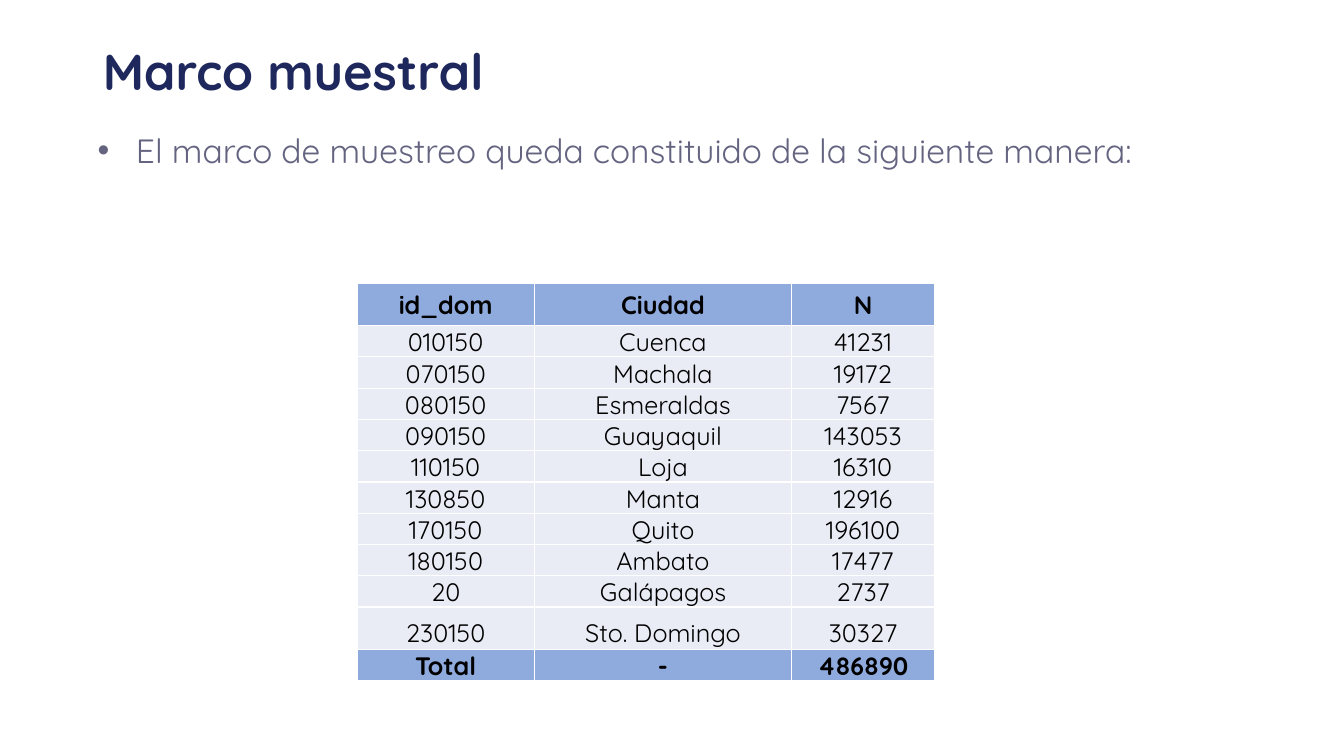
from lxml import etree
from pptx import Presentation
from pptx.dml.color import RGBColor
from pptx.enum.text import MSO_ANCHOR, MSO_AUTO_SIZE, PP_ALIGN
from pptx.oxml.ns import qn
from pptx.util import Inches, Pt

LEFT, CENTER, JUSTIFY = PP_ALIGN.LEFT, PP_ALIGN.CENTER, PP_ALIGN.JUSTIFY
TOP, MIDDLE, BOTTOM = MSO_ANCHOR.TOP, MSO_ANCHOR.MIDDLE, MSO_ANCHOR.BOTTOM
NO_AUTOFIT = MSO_AUTO_SIZE.NONE

NAVY = RGBColor(0x1F, 0x28, 0x5D)
SLATE = RGBColor(0x64, 0x64, 0x81)
BLACK = RGBColor(0x00, 0x00, 0x00)
BLUE = RGBColor(0x8F, 0xAA, 0xDC)
PALE = RGBColor(0xE9, 0xEB, 0xF5)
WHITE = RGBColor(0xFF, 0xFF, 0xFF)

TITLE_ONLY = 5
FONT = "Quicksand"
SIDES = ("a:lnL", "a:lnR", "a:lnT", "a:lnB")

SAMPLING_FRAME = [
    ("id_dom", "Ciudad", "N"),
    ("010150", "Cuenca", "41231"),
    ("070150", "Machala", "19172"),
    ("080150", "Esmeraldas", "7567"),
    ("090150", "Guayaquil", "143053"),
    ("110150", "Loja", "16310"),
    ("130850", "Manta", "12916"),
    ("170150", "Quito", "196100"),
    ("180150", "Ambato", "17477"),
    ("20", "Galápagos", "2737"),
    ("230150", "Sto. Domingo", "30327"),
    ("Total", "-", "486890"),
]
COLUMN_WIDTHS = (13.2, 19.13, 10.65)
TALL_ROW, ROW = 5.6, 2.93
TALL_ROWS = ("id_dom", "230150")
BOLD_ROWS = ("id_dom", "Total")


def write_text(frame, text, size, color, bold=False, align=LEFT, spacing=None, before=0):
    paragraph = frame.paragraphs[0]
    paragraph.alignment = align
    paragraph.line_spacing = spacing
    paragraph.space_before = Pt(before)
    run = paragraph.add_run()
    run.text = text
    run.font.name = FONT
    run.font.size = Pt(size)
    run.font.bold = bold
    run.font.color.rgb = color
    return paragraph


class SlideBuilder:
    """Draws styled elements on one slide, with lengths in percent of its size."""

    def __init__(self, presentation):
        self.width = presentation.slide_width
        self.height = presentation.slide_height
        self.slide = presentation.slides.add_slide(presentation.slide_layouts[TITLE_ONLY])

    def across(self, percent):
        return round(self.width * percent / 100)

    def down(self, percent):
        return round(self.height * percent / 100)

    def box(self, left, top, width, height):
        return self.across(left), self.down(top), self.across(width), self.down(height)

    def title(self, text, *area):
        shape = self.slide.shapes.title
        shape.left, shape.top, shape.width, shape.height = self.box(*area)
        frame = shape.text_frame
        frame.auto_size = NO_AUTOFIT
        frame.vertical_anchor = MIDDLE
        write_text(frame, text, 36, NAVY, bold=True, spacing=0.9)

    def bullet(self, text, *area):
        frame = self.slide.shapes.add_textbox(*self.box(*area)).text_frame
        frame.word_wrap = True
        frame.vertical_anchor = TOP
        paragraph = write_text(frame, text, 24, SLATE, align=JUSTIFY, spacing=0.9, before=10)
        properties = paragraph._p.get_or_add_pPr()
        properties.set("marL", str(Inches(0.38)))
        properties.set("indent", str(-Inches(0.38)))
        etree.SubElement(properties, qn("a:buFont"), typeface="Arial")
        etree.SubElement(properties, qn("a:buChar"), char="•")

    def border(self, cell):
        properties = cell._tc.get_or_add_tcPr()
        for side in SIDES:
            line = etree.SubElement(properties, qn(side), w=str(Pt(1)))
            fill = etree.SubElement(line, qn("a:solidFill"))
            etree.SubElement(fill, qn("a:srgbClr"), val=str(WHITE))

    def cell(self, cell, text, strong, anchor):
        self.border(cell)
        cell.fill.solid()
        cell.fill.fore_color.rgb = BLUE if strong else PALE
        cell.vertical_anchor = anchor
        cell.margin_left = cell.margin_right = cell.margin_top = Inches(0.01)
        cell.margin_bottom = 0
        write_text(cell.text_frame, text, 18, BLACK, bold=strong, align=CENTER)

    def table(self, rows, left, top, height):
        area = self.box(left, top, sum(COLUMN_WIDTHS), height)
        graphic = self.slide.shapes.add_table(len(rows), len(COLUMN_WIDTHS), *area)
        table = graphic.table
        table.first_row = table.horz_banding = False
        for column, width in zip(table.columns, COLUMN_WIDTHS):
            column.width = self.across(width)
        for index, (row, values) in enumerate(zip(table.rows, rows)):
            row.height = self.down(TALL_ROW if values[0] in TALL_ROWS else ROW)
            for cell, text in zip(row.cells, values):
                self.cell(cell, text, values[0] in BOLD_ROWS, BOTTOM if index else MIDDLE)
        graphic.height = self.down(height)


def main():
    presentation = Presentation()
    presentation.slide_width = Inches(13.33)
    presentation.slide_height = Inches(7.5)
    builder = SlideBuilder(presentation)
    builder.title("Marco muestral", 6.9, 4.93, 63.47, 9.87)
    builder.bullet("El marco de muestreo queda constituido de la siguiente manera:",
                   6.53, 17.07, 80.27, 12.4)
    builder.table(SAMPLING_FRAME, 26.56, 37.47, 52.27)
    presentation.save("out.pptx")


if __name__ == "__main__":
    main()
